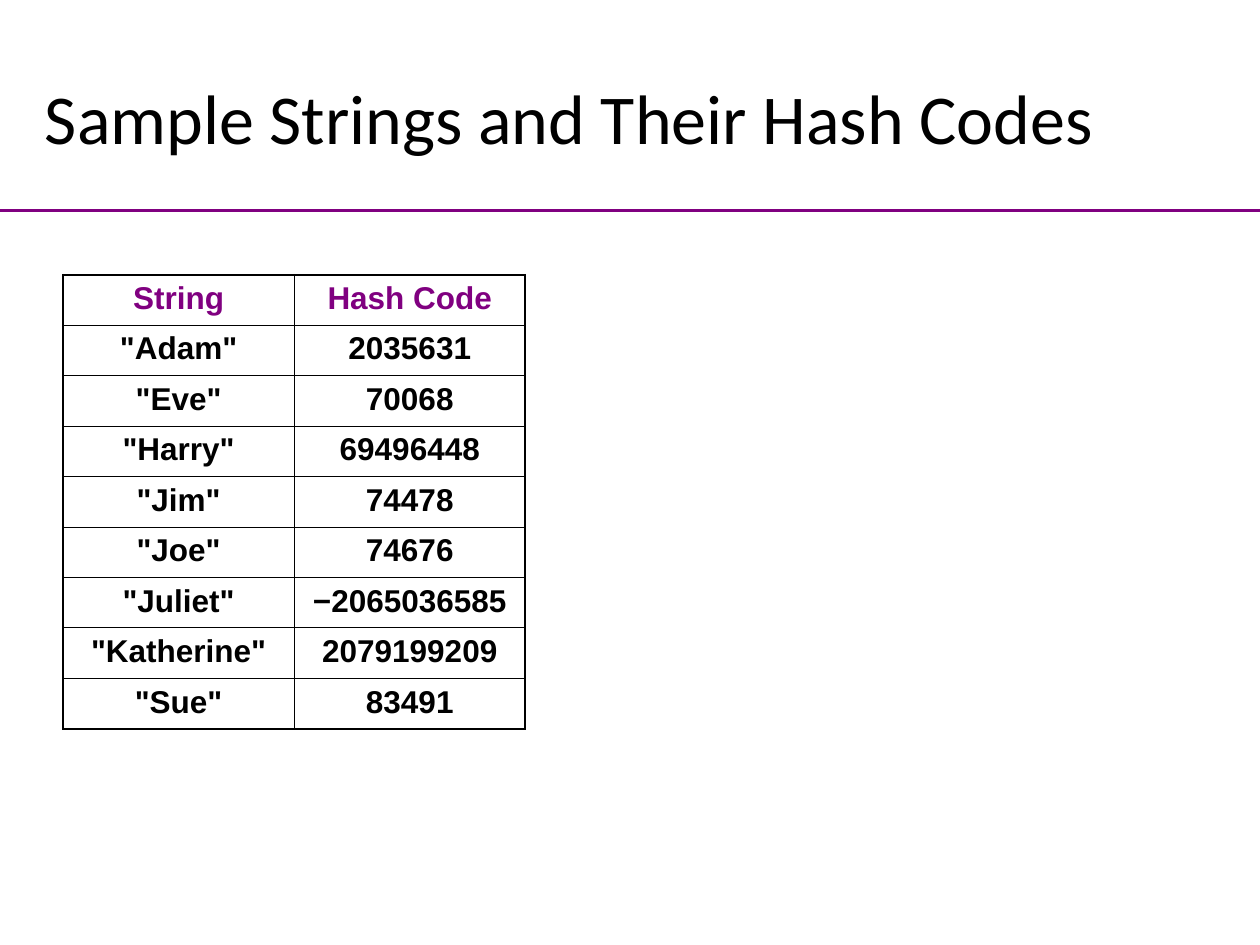
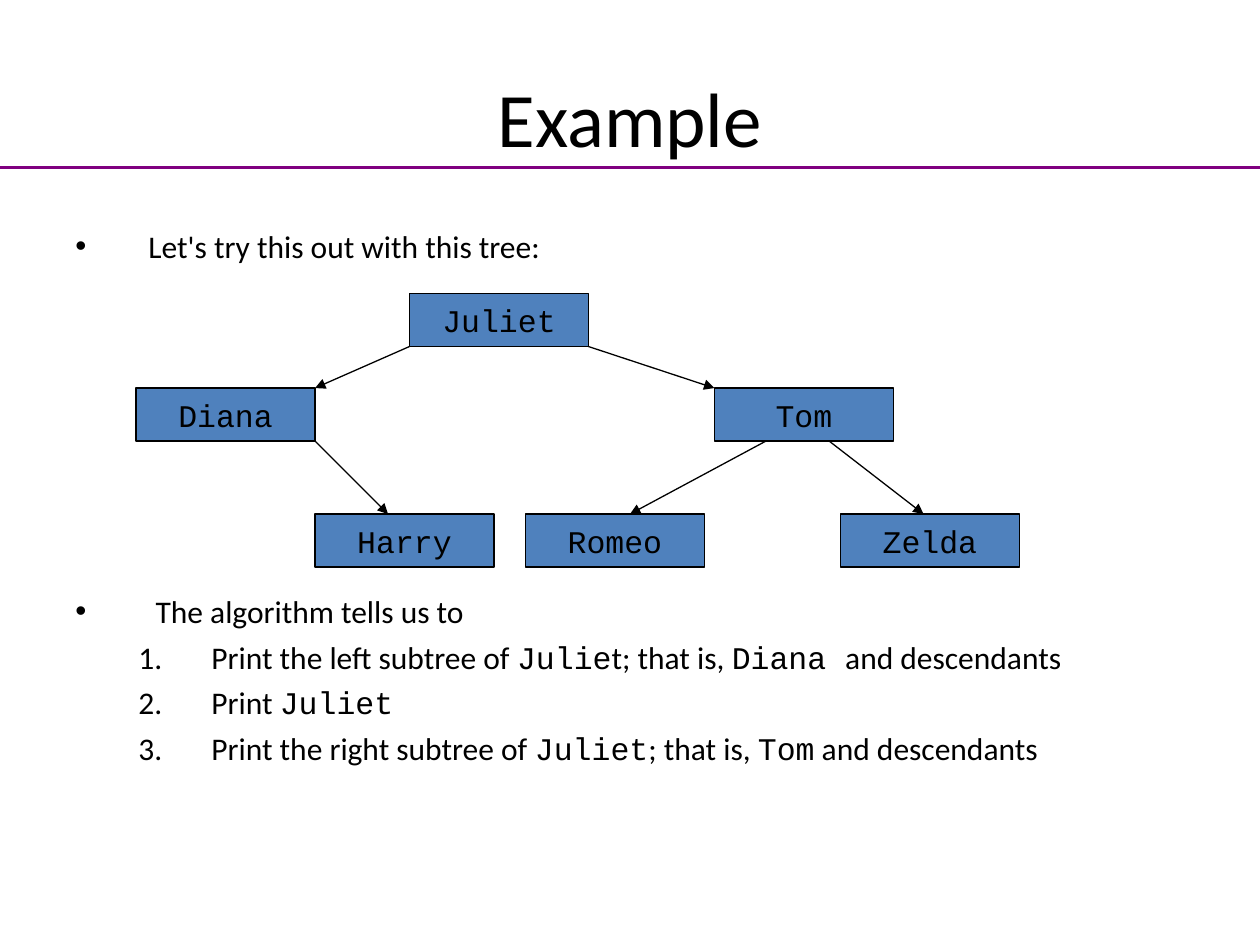
from lxml import etree
from pptx import Presentation
from pptx.dml.color import RGBColor
from pptx.enum.shapes import MSO_CONNECTOR as Conn, MSO_SHAPE as Shape
from pptx.enum.text import MSO_ANCHOR as Anchor, PP_ALIGN as Align
from pptx.oxml.ns import qn
from pptx.util import Inches, Pt

BLACK, PURPLE, BLUE = "000000", "800080", "4F81BD"
SANS, ARIAL, MONO = "Calibri", "Arial", "Courier New"

# Content: hash codes
CODES = [
    ("String", "Hash Code"),
    ('"Adam"', "2035631"),
    ('"Eve"', "70068"),
    ('"Harry"', "69496448"),
    ('"Jim"', "74478"),
    ('"Joe"', "74676"),
    ('"Juliet"', "−2065036585"),
    ('"Katherine"', "2079199209"),
    ('"Sue"', "83491"),
]

# Content: tree nodes (left, level) and arrows (parent, offset, child, offset)
NODES = {
    "Juliet": (3.25, 0),
    "Tom": (5.67, 1),
    "Diana": (1.08, 1),
    "Romeo": (4.17, 2),
    "Harry": (2.5, 2),
    "Zelda": (6.67, 2),
}
TOPS = [2.33, 3.08, 4.08]
NODE_W, NODE_H = 1.42, 0.42
ARROWS = [
    ("Juliet", 0, "Diana", NODE_W),
    ("Juliet", NODE_W, "Tom", 0),
    ("Diana", NODE_W, "Harry", 0.58),
    ("Tom", 0.41, "Romeo", 0.83),
    ("Tom", 0.91, "Zelda", 0.66),
]

# Content: list items (level, runs)
INTRO = [(0, [("Let's try this out with this tree:", SANS)])]
STEPS = [
    (0, [(" The algorithm tells us to", SANS)]),
    (1, [("Print the left subtree of ", SANS), ("Julie", MONO),
         ("t; that is, ", SANS), ("Diana ", MONO),
         ("and descendants", SANS)]),
    (1, [("Print ", SANS), ("Juliet", MONO)]),
    (1, [("Print the right subtree of ", SANS), ("Juliet", MONO),
         ("; that is, ", SANS), ("Tom", MONO),
         (" and descendants", SANS)]),
]


def color(code):
    return RGBColor.from_string(code)


def add_run(para, text, font, size=18, code=BLACK, bold=False):
    run = para.add_run()
    run.text = text
    run.font.name, run.font.size, run.font.bold = font, Pt(size), bold
    run.font.color.rgb = color(code)


def add_box(slide, left, top, width, height):
    box = slide.shapes.add_textbox(*map(Inches, (left, top, width, height)))
    box.text_frame.word_wrap = True
    return box.text_frame


def add_line(slide, start, end, code, width, head=False):
    line = slide.shapes.add_connector(
        Conn.STRAIGHT, *map(Inches, (*start, *end)))
    line.line.color.rgb = color(code)
    line.line.width = Pt(width)
    if head:
        etree.SubElement(line.line._get_or_add_ln(), qn("a:tailEnd"),
                         type="triangle")
    etree.SubElement(line._element.spPr, qn("a:effectLst"))


def add_slide(deck, title, left, size, rule):
    """Blank slide with a centred title and a purple rule."""
    slide = deck.slides.add_slide(deck.slide_layouts[6])
    frame = add_box(slide, left, 0.3, 9, 1.25)
    frame.vertical_anchor = Anchor.MIDDLE
    para = frame.paragraphs[0]
    para.alignment = Align.CENTER
    add_run(para, title, SANS, size)
    add_line(slide, (0, rule), (10, rule), PURPLE, 1.5)
    return slide


def set_edges(cell, widths):
    """Draw cell borders, given as left, right, top, bottom in points."""
    props = cell._tc.get_or_add_tcPr()
    for spot, (side, width) in enumerate(zip("LRTB", widths)):
        edge = etree.Element(qn("a:ln" + side), w=str(Pt(width)))
        fill = etree.SubElement(edge, qn("a:solidFill"))
        etree.SubElement(fill, qn("a:srgbClr"), val=BLACK)
        props.insert(spot, edge)


def add_codes(slide):
    rows, cols = len(CODES), len(CODES[0])
    table = slide.shapes.add_table(
        rows, cols, Inches(0.5), Inches(2.18),
        Inches(3.67), Inches(0.4 * rows)).table
    table.first_row = table.horz_banding = False
    for r, texts in enumerate(CODES):
        for c, text in enumerate(texts):
            cell = table.cell(r, c)
            cell.fill.background()
            outer = (c == 0, c == cols - 1, r == 0, r == rows - 1)
            set_edges(cell, [1.08 if out else 0.45 for out in outer])
            para = cell.text_frame.paragraphs[0]
            para.alignment = Align.CENTER
            add_run(para, text, ARIAL, code=BLACK if r else PURPLE, bold=True)


def add_list(slide, top, height, items):
    frame = add_box(slide, 0.5, top, 9, height)
    for n, (level, runs) in enumerate(items):
        para = frame.add_paragraph() if n else frame.paragraphs[0]
        para.level = level
        para.space_before = Pt(4.5)
        props = para._p.get_or_add_pPr()
        props.set("marL", str(Inches(0.58 + 0.5 * level)))
        props.set("indent", str(Inches(-0.58)))
        if level:
            etree.SubElement(props, qn("a:buFont"), typeface=SANS)
            etree.SubElement(props, qn("a:buAutoNum"), type="arabicPeriod")
        else:
            etree.SubElement(props, qn("a:buFont"), typeface=ARIAL)
            etree.SubElement(props, qn("a:buChar"), char="•")
        for text, font in runs:
            add_run(para, text, font)


def add_tree(slide):
    for name, (left, level) in NODES.items():
        node = slide.shapes.add_shape(
            Shape.RECTANGLE,
            *map(Inches, (left, TOPS[level], NODE_W, NODE_H)))
        node.shadow.inherit = False
        node.fill.solid()
        node.fill.fore_color.rgb = color(BLUE)
        node.line.color.rgb = color(BLACK)
        node.line.width = Pt(0.75)
        frame = node.text_frame
        frame.word_wrap = False
        frame.vertical_anchor = Anchor.MIDDLE
        para = frame.paragraphs[0]
        para.alignment = Align.CENTER
        add_run(para, name, MONO)
    for parent, out, child, into in ARROWS:
        (x1, up), (x2, down) = NODES[parent], NODES[child]
        add_line(slide, (x1 + out, TOPS[up] + NODE_H),
                 (x2 + into, TOPS[down]), BLACK, 0.75, head=True)


def main():
    deck = Presentation()
    deck.slide_width, deck.slide_height = Inches(10), Inches(7.5)

    # Slide 1: table of hash codes
    add_codes(add_slide(
        deck, "Sample Strings and Their Hash Codes ", 0.08, 40, 1.67))

    # Slide 2: tree between two lists
    slide = add_slide(deck, "Example", 0.5, 44, 1.33)
    add_list(slide, 1.75, 0.5, INTRO)
    add_list(slide, 4.65, 2.05, STEPS)
    add_tree(slide)

    deck.save("out.pptx")


if __name__ == "__main__":
    main()
